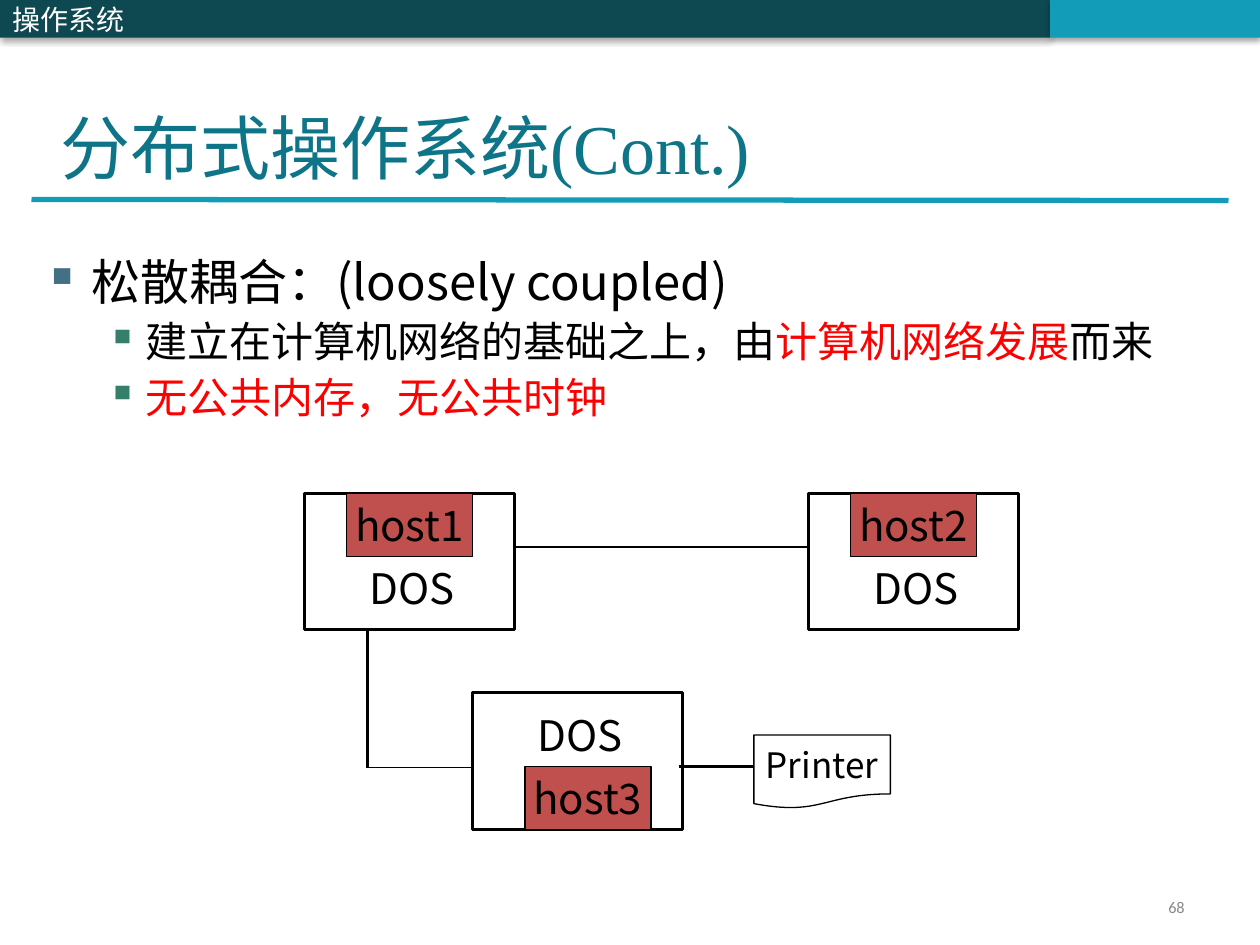
from lxml.etree import SubElement as Sub
from pptx import Presentation
from pptx.dml.color import RGBColor as RGB
from pptx.enum.shapes import MSO_CONNECTOR as Wire, MSO_SHAPE as Form
from pptx.enum.text import MSO_ANCHOR as Anchor, PP_ALIGN as Align
from pptx.oxml.ns import qn
from pptx.util import Inches, Pt

COLS, ROWS = 120, 90
CELL = Inches(10) / COLS
SANS = "Noto Sans CJK SC"
DARK, TEAL, INK, RED = "0E4851", "139CB7", "000000", "FF0000"
WHITE, BRICK = "FFFFFF", "C0504D"


def grid(*cells):
    """Turn grid cells into lengths."""
    return [round(n * CELL) for n in cells]


def hue(code):
    """Turn a hex string into a colour."""
    return RGB.from_string(code)


def put(item, form):
    """Set each format value on an item."""
    for key, val in form.items():
        setattr(item, key, val)


def write(para, text, size, tint=INK, face=SANS):
    """Add a run of text to a paragraph."""
    run = para.add_run()
    put(run, {"text": text})
    put(run.font, {"size": Pt(size), "name": face})
    run.font.color.rgb = hue(tint)
    Sub(run.font._element, qn("a:ea"), typeface=SANS)


def label(slide, box, text, size, frame=None, para=None, **look):
    """Place a text box with one line of text."""
    area = slide.shapes.add_textbox(*grid(*box)).text_frame
    put(area, {"word_wrap": True, **(frame or {})})
    put(area.paragraphs[0], para or {})
    write(area.paragraphs[0], text, size, **look)


def block(slide, box, fill, line=0, form=Form.RECTANGLE, shade=False):
    """Place a filled shape, outlined if a line width is given."""
    shape = slide.shapes.add_shape(form, *grid(*box))
    if not shade:
        shape.shadow.inherit = False
    shape.fill.solid()
    shape.fill.fore_color.rgb = hue(fill)
    if line:
        shape.line.color.rgb = hue(INK)
        shape.line.width = Pt(line)
    else:
        shape.line.fill.background()
    return shape


def tag(slide, box, text, size, fill, **look):
    """Place a block with centred text."""
    area = block(slide, box, fill, 0.75, **look).text_frame
    put(area, {"word_wrap": False, "vertical_anchor": Anchor.MIDDLE})
    put(area.paragraphs[0], {"alignment": Align.CENTER})
    write(area.paragraphs[0], text, size)


def wire(slide, ends, width, tint=INK):
    """Draw a straight line between two grid points."""
    line = slide.shapes.add_connector(Wire.STRAIGHT, *grid(*ends))
    line.line.color.rgb = hue(tint)
    line.line.width = Pt(width)
    Sub(line._element.spPr, qn("a:effectLst"))


def header(slide, box):
    """Draw the top band with the course name."""
    left, top, wide, high = box
    for start, end, fill in ((0, 5 / 6, DARK), (5 / 6, 1, TEAL)):
        part = (left + start * wide, top, (end - start) * wide, high)
        block(slide, part, fill, shade=True)
    label(slide, (left, top, 0.4 * wide, high), "操作系统", 16,
          {"vertical_anchor": Anchor.MIDDLE}, tint=WHITE)


def title(slide, box):
    """Write the title above its rule."""
    label(slide, box, "分布式操作系统(Cont.)", 40, {"vertical_anchor": Anchor.BOTTOM},
          tint="0E7589", face="Times New Roman")
    base = box[1] + box[3] + 0.5
    wire(slide, (3, base, COLS - 3, base + 0.1), 3, TEAL)


def points(slide, box):
    """Write the bulleted text."""
    area = slide.shapes.add_textbox(*grid(*box)).text_frame
    area.word_wrap = True
    rows = (
        (0, [("松散耦合：(loosely coupled)", INK)]),
        (1, [("建立在计算机网络的基础之上，由", INK), ("计算机网络发展", RED), ("而来", INK)]),
        (1, [("无公共内存，无公共时钟", RED)]),
    )
    looks = ((0.38, 0.38, "437085", 28), (0.81, 0.31, "357E69", 24))
    for n, (level, runs) in enumerate(rows):
        para = area.add_paragraph() if n else area.paragraphs[0]
        left, hang, dot, size = looks[level]
        put(para, {"level": level, "line_spacing": 0.9, "space_before": Pt(6 if n else 0)})
        props = para._p.get_or_add_pPr()
        props.set("marL", str(Inches(left)))
        props.set("indent", str(-Inches(hang)))
        Sub(Sub(props, qn("a:buClr")), qn("a:srgbClr"), val=dot)
        Sub(props, qn("a:buChar"), char="▪")
        for text, tint in runs:
            write(para, text, size, tint)


def host(slide, box, name, shift=(4, 0), note=(5, 6)):
    """Draw a host box with its name tag and system."""
    left, top = box[:2]
    block(slide, box, WHITE, 1.75)
    label(slide, (left + note[0], top + note[1], 11, 6), "DOS", 24)
    tag(slide, (left + shift[0], top + shift[1], 12, 6), name, 24, BRICK)


def network(slide, box):
    """Draw three linked hosts and a printer."""
    left, top = box[:2]
    low, bus = top + 19, top + 26.1
    far, mid = left + 48, left + 16
    wire(slide, (left + 6, top + 12, left + 6, bus), 1.25)
    wire(slide, (left + 6, bus, mid, bus), 0.75)
    wire(slide, (left + 20, top + 5.1, far, top + 5.1), 1.25)
    host(slide, (mid, low, 20, 13), "host3", (5, 7), (5, 1))
    for edge, name in ((far, "host2"), (left, "host1")):
        host(slide, (edge, top, 20, 13), name)
    dock = left + 42.8
    tag(slide, (dock, low + 4, 13, 7), "Printer", 20, WHITE, form=Form.FLOWCHART_DOCUMENT)
    wire(slide, (mid + 19.7, bus - 0.1, dock, bus - 0.1), 1.75)


def footer(slide, box):
    """Write the page number."""
    label(slide, box, "68", 9.3, {"vertical_anchor": Anchor.MIDDLE},
          {"alignment": Align.RIGHT, "line_spacing": 0.8}, tint="898989", face="Calibri")


def main():
    """Build the slide and save it."""
    deck = Presentation()
    put(deck, dict(zip(("slide_width", "slide_height"), grid(COLS, ROWS))))
    slide = deck.slides.add_slide(deck.slide_layouts[6])
    header(slide, (0, 0, COLS, 3.6))
    title(slide, (4.6, 10, 102, 8.5))
    points(slide, (3, 24, 117, 22))
    network(slide, (29, 47, 68, 32))
    footer(slide, (86, 85, 28, 3.2))
    deck.save("out.pptx")


if __name__ == "__main__":
    main()
